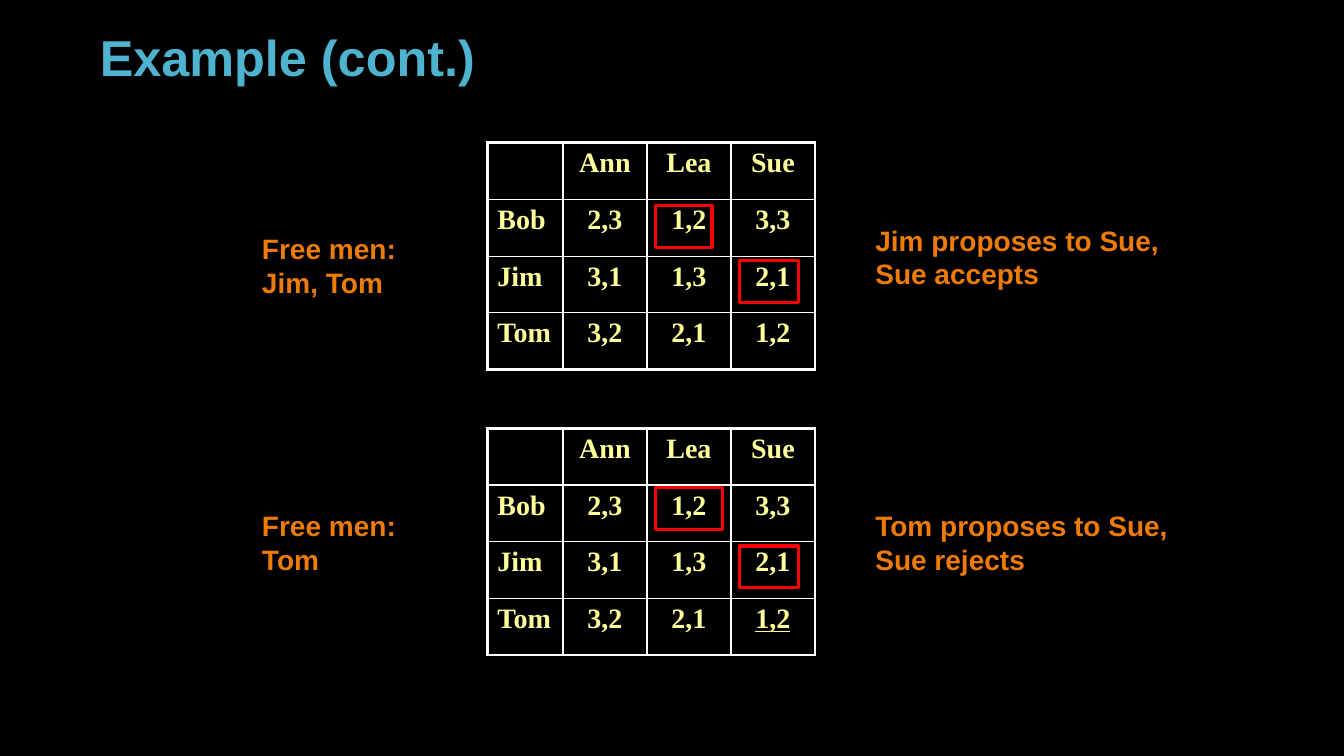
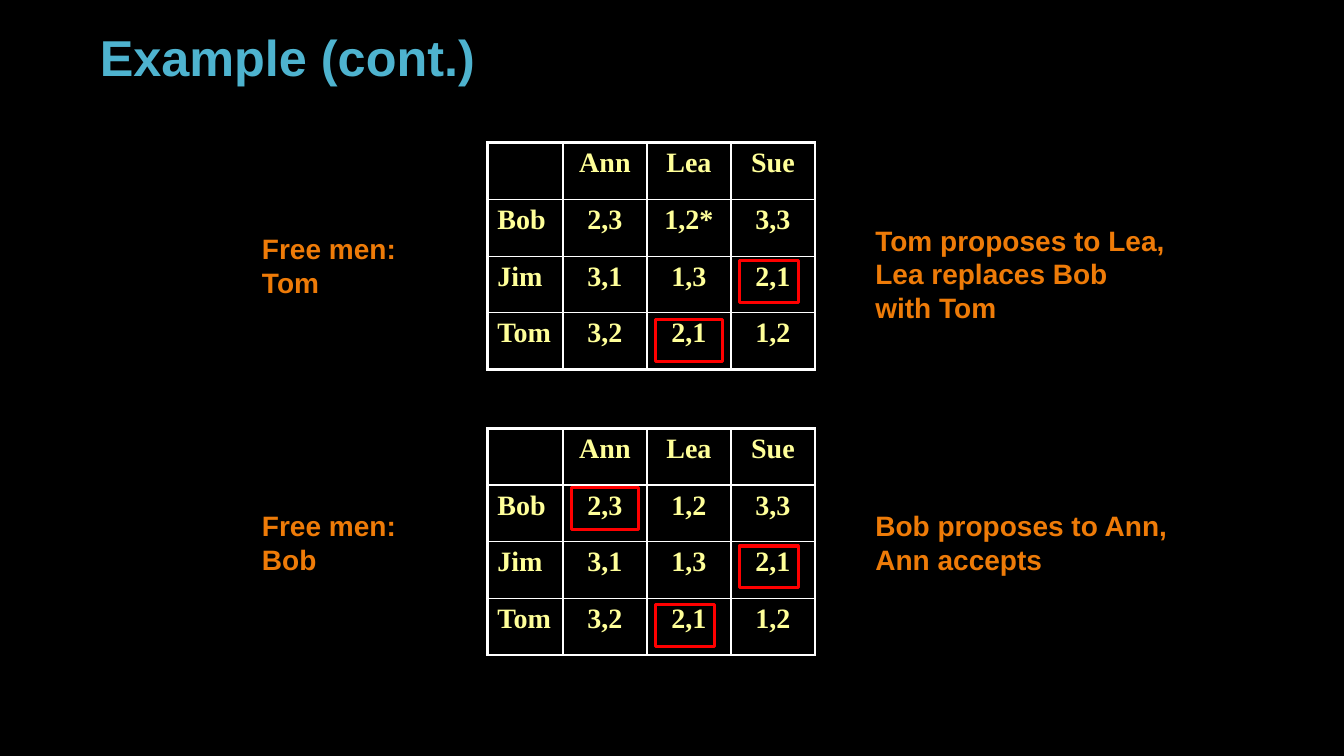
import dataclasses

import pptx
import pptx.dml.color
import pptx.enum.shapes
import pptx.enum.text
import pptx.oxml
import pptx.oxml.ns
import pptx.util


@dataclasses.dataclass(frozen=True)
class Theme:
    background: str = "000000"
    title: str = "4EB3CF"
    note: str = "EE7B08"
    cell: str = "FFFF99"
    border: str = "FFFFFF"
    marker: str = "FF0000"
    heading_font: str = "Arial"
    table_font: str = "Times New Roman"
    title_size: int = 36
    body_size: int = 20
    thin: float = 1
    thick: float = 2.25


theme = Theme()
color = pptx.dml.color.RGBColor.from_string
Anchor = pptx.enum.text.MSO_ANCHOR
Fit = pptx.enum.text.MSO_AUTO_SIZE

presentation = pptx.Presentation()
presentation.slide_width = pptx.util.Inches(13.33)
presentation.slide_height = pptx.util.Inches(7.5)

# The slide is a grid of 160 columns by 90 rows of square units.
UNIT = presentation.slide_height / 90
TABLE_LEFT = 58
COLUMN_WIDTHS = (9, 10, 10, 10)
ROW_HEIGHT = 6.75
MARKER_STEP = 7
MARKER_HEIGHT = 5
FREE_LEFT, FREE_WIDTH = 30, 27
VERDICT_LEFT, VERDICT_WIDTH = 103, 37.5

PREFERENCES = (
    ("", "Ann", "Lea", "Sue"),
    ("Bob", "2,3", "1,2", "3,3"),
    ("Jim", "3,1", "1,3", "2,1"),
    ("Tom", "3,2", "2,1", "1,2"),
)


def grid(*units):
    return [pptx.util.Emu(round(unit * UNIT)) for unit in units]


def add_lines(paragraph, lines, font_name, size, font_color):
    """Write bold runs, one for each line, with line breaks between them."""
    for index, line in enumerate(lines):
        if index:
            paragraph.add_line_break()
        run = paragraph.add_run()
        run.text = line
        run.font.name = font_name
        run.font.size = pptx.util.Pt(size)
        run.font.bold = True
        run.font.color.rgb = color(font_color)


# Each board: top, offset of the free men, free men, verdict, starred cells,
# underlined cells, and markers as (row, column, width, drop).
slides = (
    (
        (17, 10, "Jim, Tom", ("Jim proposes to Sue,", "Sue accepts"), (), (),
         ((1, 2, 6.75, 0.5), (2, 3, 7, 0))),
        (51, 9, "Tom", ("Tom proposes to Sue,", "Sue rejects"), (), ((3, 3),),
         ((1, 2, 8, 0), (2, 3, 7, 0))),
    ),
    (
        (17, 10, "Tom", ("Tom proposes to Lea,", "Lea replaces Bob with Tom"), ((1, 2),), (),
         ((3, 2, 8, 0), (2, 3, 7, 0))),
        (51, 9, "Bob", ("Bob proposes to Ann,", "Ann accepts"), (), (),
         ((1, 1, 8, 0), (2, 3, 7, 0), (3, 2, 7, 0))),
    ),
)

for boards in slides:
    slide = presentation.slides.add_slide(presentation.slide_layouts[6])
    slide.background.fill.solid()
    slide.background.fill.fore_color.rgb = color(theme.background)

    title = slide.shapes.add_textbox(*grid(10.7, 2, 132.7, 9)).text_frame
    title.word_wrap = True
    title.vertical_anchor = Anchor.BOTTOM
    title.paragraphs[0].line_spacing = 0.9
    add_lines(title.paragraphs[0], ("Example (cont.)",),
              theme.heading_font, theme.title_size, theme.title)

    for top, free_offset, free_men, verdict, starred, underlined, markers in boards:
        notes = (
            (FREE_LEFT, top + free_offset, FREE_WIDTH, ("Free men:", free_men)),
            (VERDICT_LEFT, top + 9, VERDICT_WIDTH, verdict),
        )
        for left, note_top, width, lines in notes:
            note = slide.shapes.add_textbox(*grid(left, note_top, width, 9.25)).text_frame
            note.word_wrap = True
            note.auto_size = Fit.SHAPE_TO_FIT_TEXT
            add_lines(note.paragraphs[0], lines,
                      theme.heading_font, theme.body_size, theme.note)

        last = len(PREFERENCES) - 1
        table = slide.shapes.add_table(
            len(PREFERENCES), len(COLUMN_WIDTHS),
            *grid(TABLE_LEFT, top, sum(COLUMN_WIDTHS), ROW_HEIGHT * len(PREFERENCES))).table
        table.first_row = table.horz_banding = False
        for column, width in zip(table.columns, COLUMN_WIDTHS):
            column.width = grid(width)[0]
        for row_index, row in enumerate(PREFERENCES):
            table.rows[row_index].height = grid(ROW_HEIGHT)[0]
            for column_index, text in enumerate(row):
                place = (row_index, column_index)
                cell = table.cell(*place)
                outer_sides = {
                    "L": column_index == 0,
                    "R": column_index == last,
                    "T": row_index == 0,
                    "B": row_index == last,
                }
                for side, is_outer in outer_sides.items():
                    width = pptx.util.Pt(theme.thick if is_outer else theme.thin)
                    cell._tc.get_or_add_tcPr().append(pptx.oxml.parse_xml(
                        f'<a:ln{side} {pptx.oxml.ns.nsdecls("a")} w="{int(width)}"><a:solidFill>'
                        f'<a:srgbClr val="{theme.border}"/></a:solidFill></a:ln{side}>'))
                cell.fill.background()
                if not text:
                    continue
                paragraph = cell.text_frame.paragraphs[0]
                if column_index:
                    paragraph.alignment = pptx.enum.text.PP_ALIGN.CENTER
                add_lines(paragraph, (text + "*" if place in starred else text,),
                          theme.table_font, theme.body_size, theme.cell)
                if place in underlined:
                    paragraph.runs[0].font.underline = True

        for row_index, column_index, width, drop in markers:
            marker = slide.shapes.add_shape(
                pptx.enum.shapes.MSO_SHAPE.RECTANGLE,
                *grid(TABLE_LEFT + 10 * column_index, top + MARKER_STEP * row_index + drop,
                      width, MARKER_HEIGHT))
            marker.shadow.inherit = False
            marker.fill.background()
            marker.line.color.rgb = color(theme.marker)
            marker.line.width = pptx.util.Pt(theme.thick)

presentation.save("out.pptx")
